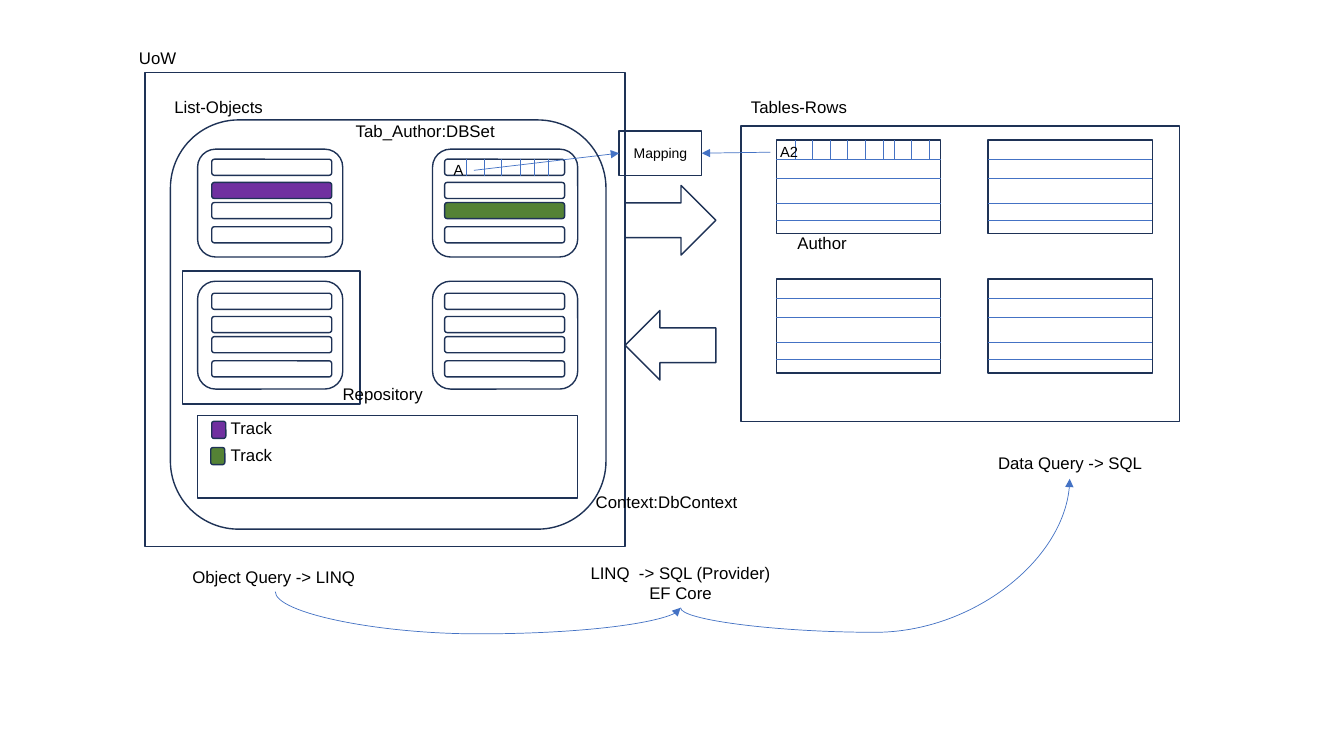
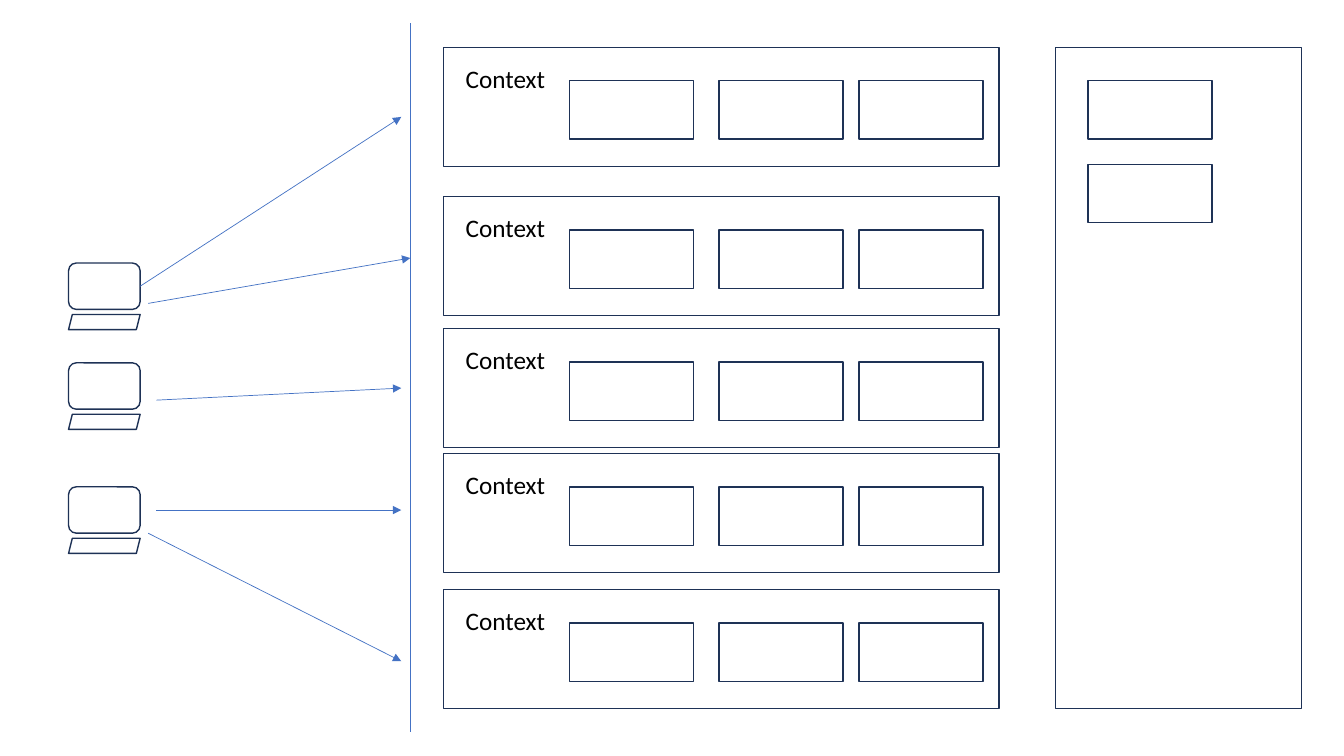
"""Draws an object-to-table mapping diagram and a clients-to-contexts diagram."""
import dataclasses

import lxml.etree
import pptx
import pptx.dml.color
import pptx.enum.shapes
import pptx.enum.text
import pptx.oxml.ns
import pptx.util

PX = 9144
KIND = pptx.enum.shapes.MSO_SHAPE
LINK = pptx.enum.shapes.MSO_CONNECTOR


@dataclasses.dataclass(frozen=True)
class Theme:
    edge: str = "1E3256"
    wire: str = "4472C4"
    ink: str = "000000"
    paper: str = "FFFFFF"
    purple: str = "7030A0"
    green: str = "548235"
    sans: str = "Arial"
    body: str = "Calibri"
    label: float = 12
    cell: float = 10.5
    small: float = 10
    large: float = 18
    thick: float = 1
    thin: float = 0.5


def color(code):
    return pptx.dml.color.RGBColor.from_string(code)


def find(node, tag):
    return node.find(pptx.oxml.ns.qn(tag))


def add(node, tag, **attrs):
    return lxml.etree.SubElement(node, pptx.oxml.ns.qn(tag), **attrs)


class Deck:
    def __init__(self, theme):
        self.theme = theme
        self.show = pptx.Presentation()
        self.show.slide_width = 1333 * PX
        self.show.slide_height = 750 * PX
        self.slide = self.tree = None

    def page(self):
        self.slide = self.show.slides.add_slide(self.show.slide_layouts[6])
        self.tree = self.slide.shapes

    def group(self):
        self.tree = self.slide.shapes.add_group_shape().shapes

    def leave(self):
        self.tree = self.slide.shapes

    def shape(self, x, y, w, h, kind=KIND.RECTANGLE, fill=None, turn=0):
        item = self.tree.add_shape(kind, x * PX, y * PX, w * PX, h * PX)
        item.shadow.inherit = False
        item.rotation = turn
        if fill:
            item.fill.solid()
            item.fill.fore_color.rgb = color(fill)
        else:
            item.fill.background()
        item.line.color.rgb = color(self.theme.edge)
        item.line.width = pptx.util.Pt(self.theme.thick)
        return item

    def round(self, x, y, w, h, fill=None):
        return self.shape(x, y, w, h, KIND.ROUNDED_RECTANGLE, fill)

    def words(self, frame, lines, size, font, center=False):
        for row, line in enumerate(lines):
            para = frame.add_paragraph() if row else frame.paragraphs[0]
            if center:
                para.alignment = pptx.enum.text.PP_ALIGN.CENTER
            run = para.add_run()
            run.text = line
            run.font.size = pptx.util.Pt(size)
            run.font.name = font
            run.font.color.rgb = color(self.theme.ink)

    def text(self, x, y, w, h, *lines, size=None, font=None, center=False):
        frame = self.tree.add_textbox(x * PX, y * PX, w * PX, h * PX).text_frame
        frame.word_wrap = False
        frame.auto_size = pptx.enum.text.MSO_AUTO_SIZE.SHAPE_TO_FIT_TEXT
        self.words(frame, lines, size or self.theme.label,
                   font or self.theme.sans, center)

    def line(self, x, y, to_x, to_y, arrow=False, kind=LINK.STRAIGHT):
        item = self.tree.add_connector(kind, x * PX, y * PX, to_x * PX, to_y * PX)
        item.line.color.rgb = color(self.theme.wire)
        item.line.width = pptx.util.Pt(self.theme.thin)
        props = item.element.spPr
        if arrow:
            add(find(props, "a:ln"), "a:tailEnd", type="triangle")
        add(props, "a:effectLst")
        return item

    def curve(self, x, y, to_x, to_y, bend):
        """Draw an arrow that leaves and arrives vertically, by a quarter turn."""
        mid_x, mid_y = (x + to_x) / 2, (y + to_y) / 2
        dx, dy = (to_x - x) / 2, (to_y - y) / 2
        ends = mid_x + dy, mid_y - dx, mid_x - dy, mid_y + dx
        item = self.line(*map(round, ends), arrow=True, kind=LINK.CURVE)
        props = item.element.spPr
        find(props, "a:xfrm").set("rot", str(270 * 60000))
        geom = find(props, "a:prstGeom")
        guides = find(geom, "a:avLst")
        if guides is None:
            guides = add(geom, "a:avLst")
        add(guides, "a:gd", name="adj1", fmla=f"val {round(bend * 100000)}")

    def grid(self, x, y):
        self.group()
        self.shape(x, y, 163, 93)
        for drop in (19, 38, 63, 80):
            self.line(x, y + drop, x + 163, y + drop)
        self.leave()

    def ticks(self, y, h, spots):
        for x in spots:
            self.line(x, y, x, y + h)

    def card(self, x, y, bar_x, bar_y, fills):
        self.round(x, y, 144, 107)
        for drop, fill in zip((0, 23, 43, 67), fills):
            self.round(bar_x, bar_y + drop, 119, 16, fill)

    def client(self, y):
        self.group()
        screen = self.round(68, y, 71, 46, self.theme.paper)
        self.shape(68, y + 51, 71, 15, KIND.PARALLELOGRAM, self.theme.paper)
        self.leave()
        return screen

    def box(self, x, y):
        self.shape(x, y, 123, 58)

    def context(self, y):
        self.shape(440, y, 551, 118)
        self.text(452, y + 11, 100, 40, "Context",
                  size=self.theme.large, font=self.theme.body)
        for x in (565, 713, 852):
            self.box(x, y + 33)


def mapping(deck):
    theme = deck.theme
    deck.page()

    deck.shape(735, 125, 435, 293)
    for y in (139, 277):
        for x in (770, 980):
            deck.grid(x, y)
    deck.ticks(139, 19, (789, 806, 824, 840, 858, 876, 887, 904, 922))
    deck.text(764, 137, 39, 29, "A2", size=theme.cell)

    plain = (None,) * 4
    deck.card(196, 148, 210, 158, (None, theme.purple, None, None))
    deck.card(429, 148, 441, 158, (None, None, theme.green, None))
    deck.card(429, 279, 441, 291, plain)
    deck.card(196, 279, 210, 291, plain)
    deck.ticks(158, 17, (463, 480, 497, 516, 530, 544))
    deck.text(440, 155, 31, 29, "A", size=theme.cell)

    hub = deck.shape(614, 130, 82, 44, fill=theme.paper)
    hub.text_frame.word_wrap = True
    hub.text_frame.vertical_anchor = pptx.enum.text.MSO_ANCHOR.MIDDLE
    deck.words(hub.text_frame, ["Mapping"], theme.small, theme.sans, True)
    for x, y, to_x, side in ((470, 169, 614, 1), (764, 151, 696, 3)):
        deck.line(x, y, to_x, 152, arrow=True).end_connect(hub, side)

    deck.round(169, 119, 432, 406)
    deck.shape(181, 269, 176, 132)
    deck.shape(196, 412, 377, 82)
    for x, y, fill in ((210, 418, theme.purple), (209, 444, theme.green)):
        deck.round(x, y, 14, 17, fill)
        deck.text(219, y - 8, 62, 30, "Track")
    for y, turn in ((184, 0), (308, 180)):
        deck.shape(620, y, 90, 69, KIND.RIGHT_ARROW, turn=turn)
    deck.shape(144, 72, 476, 470)

    for x, y, w, label in (
        (735, 91, 116, "Tables-Rows"),
        (781, 226, 70, "Author"),
        (980, 444, 165, "Data Query -> SQL"),
        (163, 91, 109, "List-Objects"),
        (343, 115, 159, "Tab_Author:DBSet"),
        (581, 483, 162, "Context:DbContext"),
        (181, 557, 183, "Object Query -> LINQ"),
        (330, 376, 100, "Repository"),
        (128, 42, 58, "UoW"),
    ):
        deck.text(x, y, w, 30, label)
    deck.text(575, 553, 200, 50, "LINQ  -> SQL (Provider)", "EF Core", center=True)
    deck.curve(273, 588, 675, 603, 2.62)
    deck.curve(675, 603, 1062, 475, -0.19)


def clients(deck):
    deck.page()
    screens = [deck.client(y) for y in (261, 360, 483)]
    deck.line(139, 284, 398, 116, arrow=True).begin_connect(screens[0], 3)
    for ends in (
        (147, 301, 407, 256),
        (155, 397, 398, 385),
        (155, 506, 398, 506),
        (147, 529, 398, 656),
    ):
        deck.line(*ends, arrow=True)
    deck.line(407, 23, 407, 726)

    for y in (47, 195, 326, 450, 585):
        deck.context(y)
    deck.shape(1047, 47, 244, 656)
    for y in (80, 163):
        deck.box(1079, y)


def main():
    deck = Deck(Theme())
    mapping(deck)
    clients(deck)
    deck.show.save("out.pptx")


if __name__ == "__main__":
    main()
